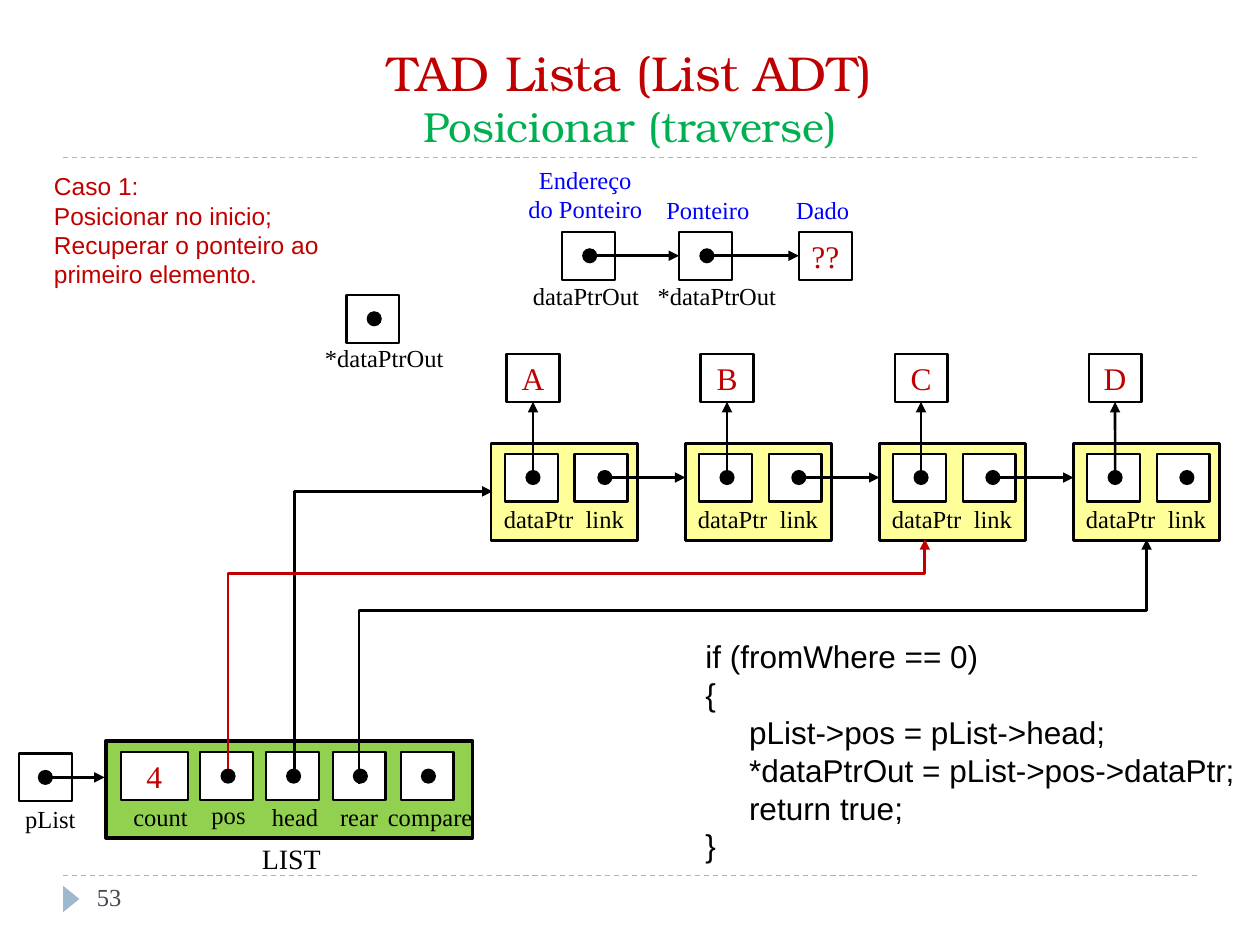
from lxml.etree import SubElement
from pptx import Presentation
from pptx.dml.color import RGBColor
from pptx.enum.dml import MSO_LINE
from pptx.enum.shapes import MSO_CONNECTOR as LINK, MSO_SHAPE as SHAPE
from pptx.enum.text import MSO_ANCHOR as ANCHOR, MSO_AUTO_SIZE as FIT, PP_ALIGN as ALIGN
from pptx.oxml.ns import qn
from pptx.util import Inches, Pt

THEME = {
    "black": "000000", "white": "FFFFFF", "red": "C00000", "green": "00B050",
    "blue": "0000FF", "rule": "9FB8CD", "number": "464653",
    "list": "92D050", "node": "FFFF99",
    "title": dict(name="TeX Gyre Bonum", size=Pt(28)),
    "subtitle": dict(name="TeX Gyre Bonum", size=Pt(24)),
    "label": dict(name="Times New Roman", size=Pt(14)),
    "caption": dict(name="Times New Roman", size=Pt(16)),
    "value": dict(name="Times New Roman", size=Pt(18)),
    "note": dict(name="Arial", size=Pt(14)),
    "code": dict(name="Arial", size=Pt(18)),
}

TITLE = [("TAD Lista (List ADT)", "title", "red"),
         ("Posicionar (traverse)", "subtitle", "green")]
NOTE = ["Caso 1:", "Posicionar no inicio;", "Recuperar o ponteiro ao primeiro elemento."]
CODE = ["if (fromWhere == 0)", "{",
        "     pList->pos = pList->head;",
        "     *dataPtrOut = pList->pos->dataPtr;",
        "     return true;", "}"]
NODES = ["A", "B", "C", "D"]
NODE_FIELDS = [("dataPtr", 0.11, 0, 0.76), ("link", 0.66, 0.65, 0.51)]
LIST_FIELDS = [("pos", 1.59, 1.58, 6.3, 0.48), ("head", 2.11, 2.06, 6.32, 0.57),
               ("rear", 2.64, 2.6, 6.32, 0.51), ("compare", 3.18, 2.98, 6.32, 0.88)]
LABELS = [
    (["pList"], 0.1, 6.33, 0.61, 0.34, "black"),
    (["count"], 0.96, 6.32, 0.64, 0.34, "black"),
    (["Endereço", "do Ponteiro"], 4.09, 1.26, 1.11, 0.57, "blue"),
    (["Ponteiro"], 5.19, 1.5, 0.87, 0.34, "blue"),
    (["Dado"], 6.22, 1.5, 0.63, 0.34, "blue"),
    (["dataPtrOut"], 4.13, 2.18, 1.05, 0.34, "black"),
    (["*dataPtrOut"], 5.12, 2.18, 1.15, 0.34, "black"),
    (["*dataPtrOut"], 2.48, 2.67, 1.15, 0.34, "black"),
]
CELL_W, CELL_H, DOT = 0.42, 0.38, 0.12
NODE_LEFT, NODE_STEP, NODE_TOP = 3.9, 1.54, 3.52

deck = Presentation()
deck.slide_width, deck.slide_height = Inches(10), Inches(7.5)
slide = deck.slides.add_slide(deck.slide_layouts[6])
shapes = slide.shapes


def color(key):
    return RGBColor.from_string(THEME[key])


def set_format(target, values):
    for key, value in values.items():
        setattr(target, key, value)


def style_font(font, style, ink):
    set_format(font, THEME[style])
    font.color.rgb = color(ink)


def write(holder, lines, style, ink, align=ALIGN.LEFT, **frame_format):
    frame = holder.text_frame
    set_format(frame, dict(word_wrap=True, vertical_anchor=ANCHOR.TOP) | frame_format)
    frame.text = "\n".join(lines)
    for paragraph in frame.paragraphs:
        paragraph.alignment = align
        style_font(paragraph.font, style, ink)


def area(x, y, w, h):
    return [Inches(length) for length in (x, y, w, h)]


def block(x, y, w, h, fill, border=1.25, kind=SHAPE.RECTANGLE):
    part = shapes.add_shape(kind, *area(x, y, w, h))
    part.shadow.inherit = False
    part.fill.solid()
    part.fill.fore_color.rgb = color(fill)
    if border:
        part.line.color.rgb = color("black")
        part.line.width = Pt(border)
    else:
        part.line.fill.background()
    return part


def cell(x, y, value=None, w=CELL_W):
    part = block(x, y, w, CELL_H, "white")
    if value:
        write(part, [value], "value", "red", ALIGN.CENTER, vertical_anchor=ANCHOR.MIDDLE)
    return part


def dot(x, y):
    block(x - DOT / 2, y - DOT / 2, DOT, DOT, "black", 0, SHAPE.OVAL)


def label(lines, x, y, w, h, ink="black", style="label"):
    align = ALIGN.CENTER if len(lines) > 1 else ALIGN.LEFT
    write(shapes.add_textbox(*area(x, y, w, h)), lines, style, ink, align,
          word_wrap=False, auto_size=FIT.SHAPE_TO_FIT_TEXT)


def connect(kind, x1, y1, x2, y2, ink="black", width=1.5):
    line = shapes.add_connector(kind, *area(x1, y1, x2, y2))
    line.line.color.rgb = color(ink)
    line.line.width = Pt(width)
    SubElement(line._element.spPr, qn("a:effectLst"))
    return line


def add_head(line):
    SubElement(line.line._get_or_add_ln(), qn("a:tailEnd"), type="triangle")


def arrow(x1, y1, x2, y2, target=None, side=1):
    line = connect(LINK.STRAIGHT, x1, y1, x2, y2)
    add_head(line)
    if target is not None:
        line.end_connect(target, side)


def rising_elbow(x1, y1, x2, y2, bend=None, ink="black"):
    mid_x, mid_y = (x1 + x2) / 2, (y1 + y2) / 2
    half_run, half_rise = (x2 - x1) / 2, (y1 - y2) / 2
    line = connect(LINK.ELBOW, mid_x - half_rise, mid_y - half_run,
                   mid_x + half_rise, mid_y + half_run, ink)
    properties = line._element.spPr
    properties.find(qn("a:xfrm")).set("rot", str(270 * 60000))
    geometry = properties.find(qn("a:prstGeom"))
    if bend is None:
        geometry.set("prst", "bentConnector2")
    else:
        SubElement(geometry.find(qn("a:avLst")), qn("a:gd"),
                   name="adj1", fmla=f"val {round(bend * 100000)}")
    add_head(line)


for rule_y in (6.95, 1.25):
    rule = connect(LINK.STRAIGHT, 0.5, rule_y, 9.5, rule_y, "rule", 0.75)
    rule.line.dash_style = MSO_LINE.DASH
marker = block(0.46, 7.07, 0.21, 0.13, "rule", 0, SHAPE.ISOSCELES_TRIANGLE)
marker.rotation = 90

heading = shapes.add_textbox(*area(0.5, 0.25, 9, 1)).text_frame
set_format(heading, dict(word_wrap=True, vertical_anchor=ANCHOR.BOTTOM))
heading_line = heading.paragraphs[0]
heading_line.alignment = ALIGN.CENTER
for position, (words, style, ink) in enumerate(TITLE):
    if position:
        heading_line.add_line_break()
    run = heading_line.add_run()
    run.text = words
    style_font(run.font, style, ink)
write(shapes.add_textbox(*area(0.67, 6.95, 2.17, 0.4)), ["53"], "label", "number")

cell(0.15, 5.98)
arrow(0.36, 6.17, 0.83, 6.17)
dot(0.36, 6.17)
block(0.84, 5.88, 2.91, 0.77, "list", 2)
label(["LIST"], 1.98, 6.63, 0.68, 0.37, style="caption")
cell(0.96, 5.97, "4", 0.53)
for name, left, label_left, label_top, label_width in LIST_FIELDS:
    cell(left, 5.97)
    dot(left + 0.22, 6.16)
    label([name], label_left, label_top, label_width, 0.34)
rising_elbow(2.34, 6.1, 3.91, 3.9)
rising_elbow(2.85, 6.22, 9.1, 4.28, 0.71)

for index, value in enumerate(NODES):
    left = NODE_LEFT + index * NODE_STEP
    block(left, NODE_TOP, 1.16, 0.77, "node")
    for name, offset, label_offset, label_width in NODE_FIELDS:
        cell(left + offset, 3.6)
        label([name], left + label_offset, 3.95, label_width, 0.34)
    data = cell(left + 0.12, 2.81, value)
    data_x, link_x = left + 0.33, left + 0.9
    arrow(data_x, 3.79, data_x, 3.19, data, 2)
    if index < len(NODES) - 1:
        arrow(link_x, 3.79, left + NODE_STEP, 3.79)
    dot(data_x, 3.79)
    dot(link_x, 3.79)
rising_elbow(1.81, 6.1, 7.34, 4.28, 0.85, "red")

write(block(5.5, 5.01, 4.5, 1.92, "white", 0), CODE, "code", "black",
      auto_size=FIT.SHAPE_TO_FIT_TEXT)
write(shapes.add_textbox(*area(0.33, 1.31, 2.53, 1.04)), NOTE, "note", "red",
      auto_size=FIT.SHAPE_TO_FIT_TEXT)

cell(4.46, 1.84)
pointer = cell(5.39, 1.84)
unknown = cell(6.34, 1.84, "??")
for start, target in ((4.68, pointer), (5.61, unknown)):
    arrow(start, 2.03, start + 0.71, 2.03, target)
    dot(start, 2.03)
cell(2.75, 2.34)
dot(2.97, 2.53)
for entry in LABELS:
    label(*entry)

deck.save("out.pptx")
